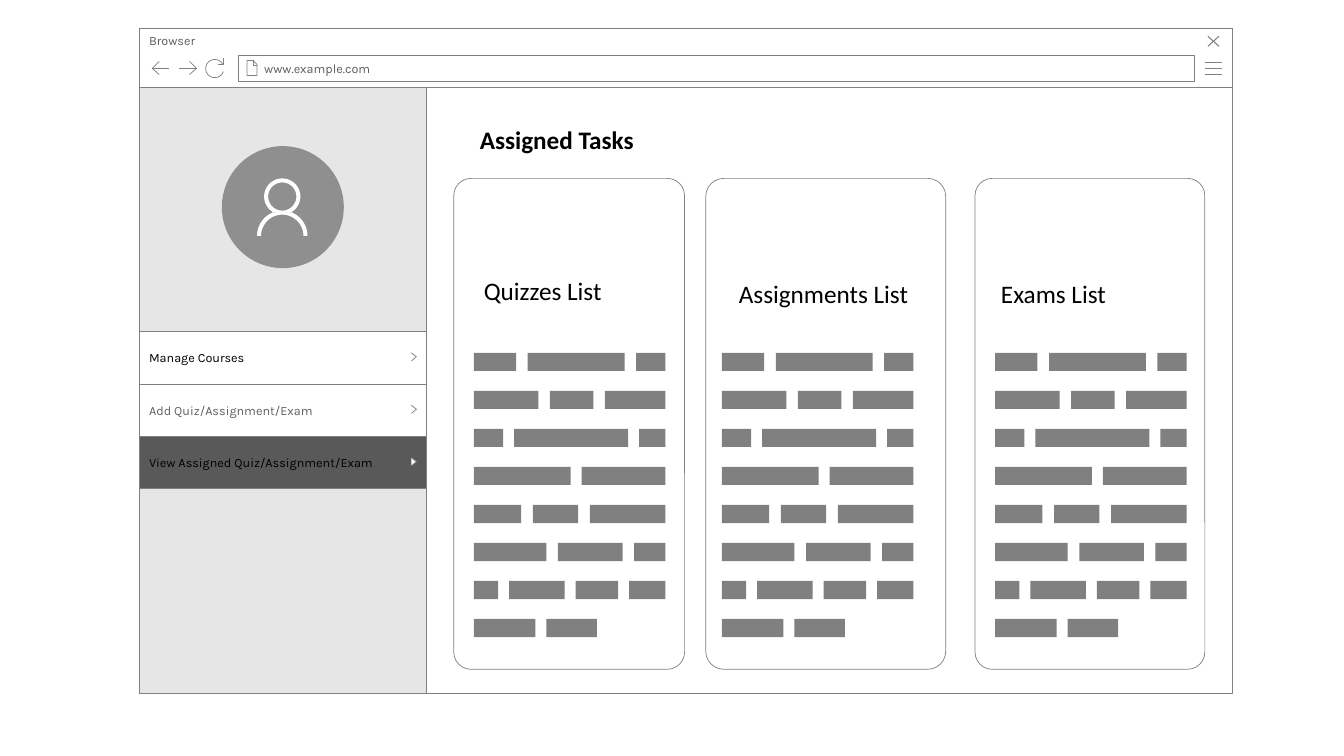
from math import cos, radians, sin
from pptx import Presentation
from pptx import util as u
from pptx.dml.color import RGBColor
from pptx.enum import shapes, text

COLORS = dict(white="FFFFFF", line="808080", muted="5F5F5F", black="000000",
              side="E7E6E6", avatar="8F8F8F", active="595959")
PAGE = (13.33, 7.5)
WINDOW = (1.38, 0.28, 10.84, 6.6)
HEADER_H = 0.59
SIDE_W = 2.85
MENU_TOP, MENU_H = 3.29, 0.52
MENU = [("Manage Courses", "white", "black"),
        ("Add Quiz/Assignment/Exam", "white", "muted"),
        ("View Assigned Quiz/Assignment/Exam", "active", "black")]
CARD_TOP, CARD_H = 1.77, 4.87
CARDS = [(4.5, 2.29, 4.7), (7, 2.38, 7.16), (9.67, 2.28, 9.87)]
LABELS = [("Quizzes List", 4.7, 2.68, 1.9, False),
          ("Assignments List", 7.23, 2.71, 1.9, False),
          ("Exams List", 9.83, 2.71, 1.9, False),
          ("Assigned Tasks", 4.66, 1.18, 4.48, True)]
BARS_TOP, BARS_LAST, BAR_H = 3.5, 6.14, 0.18
BAR_ROWS = [(1.9, (0.42, 0.96, 0.29)), (1.9, (0.64, 0.43, 0.6)),
            (1.9, (0.29, 1.13, 0.26)), (1.9, (0.96, 0.83)),
            (1.9, (0.47, 0.45, 0.75)), (1.9, (0.72, 0.64, 0.31)),
            (1.9, (0.24, 0.55, 0.42, 0.36)), (1.22, (0.61, 0.5))]


def arc(cx, cy, r, start, end, steps=36):
    angles = [radians(start + (end - start) * i / steps) for i in range(steps + 1)]
    return [(cx + r * cos(a), cy + r * sin(a)) for a in angles]


ICONS = [
    ([[(11.95, y), (12.12, y)] for y in (0.62, 0.68, 0.74)], 0.5),
    ([[(12.09, 0.36), (11.98, 0.46)], [(11.98, 0.36), (12.09, 0.46)]], 0.75),
    ([[(2.51, 0.6), (2.51, 0.65), (2.55, 0.65)],
      [(2.45, 0.6), (2.45, 0.75), (2.55, 0.75), (2.55, 0.64), (2.51, 0.6), (2.45, 0.6)]], 0.5),
    ([[(1.58, 0.74), (1.51, 0.68), (1.58, 0.61)], [(1.51, 0.68), (1.68, 0.68)]], 0.5),
    ([[(1.88, 0.61), (1.95, 0.68), (1.88, 0.74)], [(1.95, 0.68), (1.78, 0.68)]], 0.5),
    ([[(2.22, 0.58), (2.22, 0.64), (2.16, 0.64)], arc(2.13, 0.68, 0.09, 20, -335 + 5 + 360 + 0)], 0.5),
]
PERSON = [
    arc(2.8, 2.34, 0.25, 180, 253) + arc(2.8, 1.95, 0.18, 115, 425)
    + arc(2.8, 2.34, 0.25, 287, 360) + arc(2.8, 2.34, 0.21, 360, 180),
    arc(2.8, 1.95, 0.14, 0, 360),
]
ICONS[-1] = ([ICONS[-1][0][0], arc(2.13, 0.68, 0.09, 20, 333)], 0.5)

prs = Presentation()
prs.slide_width, prs.slide_height = map(u.Inches, PAGE)
s = prs.slides.add_slide(prs.slide_layouts[6])


def rgb(name):
    return RGBColor.from_string(COLORS[name])


def style(sp, fill, line, width=0.5):
    sp.shadow.inherit = False
    if fill:
        sp.fill.solid()
        sp.fill.fore_color.rgb = rgb(fill)
    else:
        sp.fill.background()
    if line:
        sp.line.color.rgb = rgb(line)
        sp.line.width = u.Pt(width)
    else:
        sp.line.fill.background()
    return sp


def box(x, y, w, h, fill="white", line="line", kind="RECTANGLE"):
    sp = s.shapes.add_shape(shapes.MSO_SHAPE[kind], *map(u.Inches, (x, y, w, h)))
    return style(sp, fill, line)


def outline(contours, fill=None, line=None, width=0.5, close=False):
    paths = [[(u.Inches(x), u.Inches(y)) for x, y in c] for c in contours]
    fb = s.shapes.build_freeform(*paths[0][0])
    for i, points in enumerate(paths):
        if i:
            fb.move_to(*points[0])
        fb.add_line_segments(points[1:], close=close)
    return style(fb.convert_to_shape(), fill, line, width)


def write(sp, words, size, font, color, bold=False, left=0.1, right=0.1, anchor="TOP"):
    tf = sp.text_frame
    tf.word_wrap = True
    tf.margin_left, tf.margin_right = u.Inches(left), u.Inches(right)
    tf.vertical_anchor = text.MSO_ANCHOR[anchor]
    p = tf.paragraphs[0]
    p.text = words
    p.alignment = text.PP_ALIGN.LEFT
    p.font.size, p.font.name, p.font.bold = u.Pt(size), font, bold
    p.font.color.rgb = rgb(color)


left, top, width, height = WINDOW
body_top = top + HEADER_H
box(left, body_top, width, height - HEADER_H)
write(box(left, top, width, HEADER_H), "Browser", 9, "Karla", "muted", right=0.25)
write(box(2.36, 0.55, 9.49, 0.26), "www.example.com", 9, "Karla", "muted",
      left=0.26, anchor="MIDDLE")
for contours, weight in ICONS:
    outline(contours, line="line", width=weight)

box(left, body_top, SIDE_W, height - HEADER_H, "side")
box(2.2, 1.45, 1.21, 1.21, "avatar", None, "OVAL")
outline(PERSON, fill="white", close=True)

for i, (words, fill, color) in enumerate(MENU):
    y = MENU_TOP + i * MENU_H
    write(box(left, y, SIDE_W, MENU_H, fill), words, 9, "Karla", color,
          right=0.2, anchor="MIDDLE")
    mid = y + 0.25
    outline([[(4.08, mid + 0.04), (4.13, mid), (4.08, mid - 0.04)]], "white", "line")

pitch = (BARS_LAST - BARS_TOP) / (len(BAR_ROWS) - 1)
for card_x, card_w, bars_x in CARDS:
    card = box(card_x, CARD_TOP, card_w, CARD_H, kind="ROUNDED_RECTANGLE")
    card.adjustments[0] = 0.075
    for i, (total, widths) in enumerate(BAR_ROWS):
        gap = (total - sum(widths)) / (len(widths) - 1)
        x, y, bars = bars_x, BARS_TOP + i * pitch, []
        for w in widths:
            bars.append([(x, y), (x, y + BAR_H), (x + w, y + BAR_H), (x + w, y)])
            x += w + gap
        outline(bars, fill="line", close=True)

for words, x, y, w, bold in LABELS:
    tb = s.shapes.add_textbox(*map(u.Inches, (x, y, w, 0.4)))
    write(tb, words, 18, "Calibri", "black", bold)

prs.save("out.pptx")
